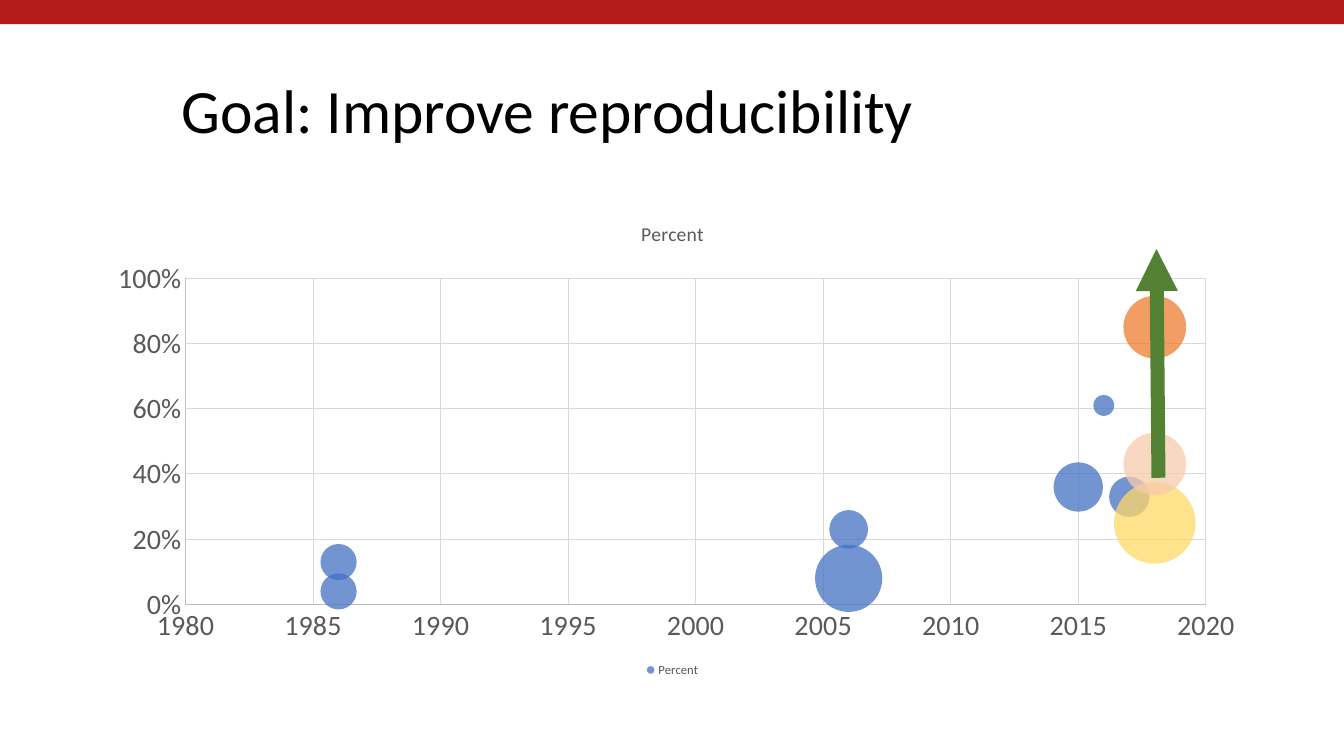
"""Build a slide with a bubble chart of reproducibility rates over time."""
from lxml import etree
from pptx import Presentation, util as u
from pptx.chart import data as chart_data
from pptx.dml.color import RGBColor
from pptx.enum import chart as charts, shapes, text
from pptx.oxml import ns, parse_xml


def paint(fill, color, alpha=None):
    fill.solid()
    fill.fore_color.rgb = RGBColor.from_string(color)
    if alpha:
        element = fill._xPr.find(".//" + ns.qn("a:srgbClr"))
        etree.SubElement(element, ns.qn("a:alpha"), val=str(alpha * 1000))


def set_font(font, size, color):
    font.name, font.size, font.bold = "Calibri", u.Pt(size), False
    paint(font.fill, color)


GRAY = "595959"
BUBBLES = [
    (1986, 0.04, 54), (1986, 0.13, 54), (2006, 0.08, 186), (2006, 0.23, 62),
    (2015, 0.36, 100), (2016, 0.61, 18), (2017, 0.33, 67),
    (2018, 0.25, 274), (2018, 0.43, 162), (2018, 0.85, 162),
]
POINT_COLORS = {7: "FFD966", 8: "F8CBAD", 9: "ED7D31"}

presentation = Presentation()
presentation.slide_width, presentation.slide_height = u.Inches(13.33), u.Inches(7.5)
slide = presentation.slides.add_slide(presentation.slide_layouts[5])

banner = slide.shapes.add_shape(
    shapes.MSO_SHAPE.RECTANGLE, 0, 0, presentation.slide_width, u.Inches(0.24))
banner.shadow.inherit = False
paint(banner.fill, "B31B1B")
banner.line.fill.background()

title = slide.shapes.title
title.left, title.top, title.width, title.height = map(u.Inches, (1.7, 0.4, 10.7, 1.45))
title.text_frame.text = "Goal: Improve reproducibility"
title.text_frame.vertical_anchor = text.MSO_ANCHOR.MIDDLE
paragraph = title.text_frame.paragraphs[0]
paragraph.alignment = text.PP_ALIGN.LEFT
paragraph.line_spacing = 0.9
set_font(paragraph.font, 44, "000000")

bubble_data = chart_data.BubbleChartData()
percent = bubble_data.add_series("Percent")
for year, share, size in BUBBLES:
    percent.add_data_point(year, share, size)
chart = slide.shapes.add_chart(
    charts.XL_CHART_TYPE.BUBBLE, *map(u.Inches, (0.92, 2, 11.5, 4.76)), bubble_data).chart
set_font(chart.font, 10, "000000")

chart.has_title = True
chart.chart_title.include_in_layout = False
chart.chart_title.text_frame.text = "Percent"
set_font(chart.chart_title.text_frame.paragraphs[0].font, 14, GRAY)

chart.has_legend = True
chart.legend.position = charts.XL_LEGEND_POSITION.BOTTOM
chart.legend.include_in_layout = False
set_font(chart.legend.font, 9, GRAY)

for axis, low, high, step, number_format in (
        (chart.category_axis, 1980, 2020, 5, "General"),
        (chart.value_axis, 0, 1, 0.2, "0%")):
    axis.minimum_scale, axis.maximum_scale, axis.major_unit = low, high, step
    axis.major_tick_mark = axis.minor_tick_mark = charts.XL_TICK_MARK.NONE
    axis.tick_labels.number_format = number_format
    axis.tick_labels.number_format_is_linked = False
    set_font(axis.tick_labels.font, 20, GRAY)
    axis.has_major_gridlines = True
    for line, color in ((axis.format.line, "BFBFBF"),
                        (axis.major_gridlines.format.line, "D9D9D9")):
        paint(line.fill, color)
        line.width = u.Pt(0.75)

plot = chart.plots[0]
plot.bubble_scale = 100
series = plot.series[0]
paint(series.format.fill, "4472C4", 75)
series.format.line.fill.background()
for index, color in POINT_COLORS.items():
    point = series.points[index]
    paint(point.format.fill, color, 75)
    point.format.line.fill.background()

plot_area = chart._chartSpace.chart.plotArea
for layout in plot_area.findall(ns.qn("c:layout")):
    plot_area.remove(layout)
plot_area.insert(0, parse_xml(
    f'<c:layout {ns.nsdecls("c")}><c:manualLayout><c:layoutTarget val="inner"/>'
    '<c:xMode val="edge"/><c:yMode val="edge"/><c:x val="0.08"/><c:y val="0.16"/>'
    '<c:w val="0.88"/><c:h val="0.68"/></c:manualLayout></c:layout>'))

arrow = slide.shapes.add_connector(
    shapes.MSO_CONNECTOR.STRAIGHT, *map(u.Inches, (11.49, 4.74, 11.47, 2.47)))
paint(arrow.line.fill, "548235")
arrow.line.width = u.Pt(10)
etree.SubElement(arrow.line._get_or_add_ln(), ns.qn("a:tailEnd"), type="triangle")
etree.SubElement(arrow._element.spPr, ns.qn("a:effectLst"))

presentation.save("out.pptx")
